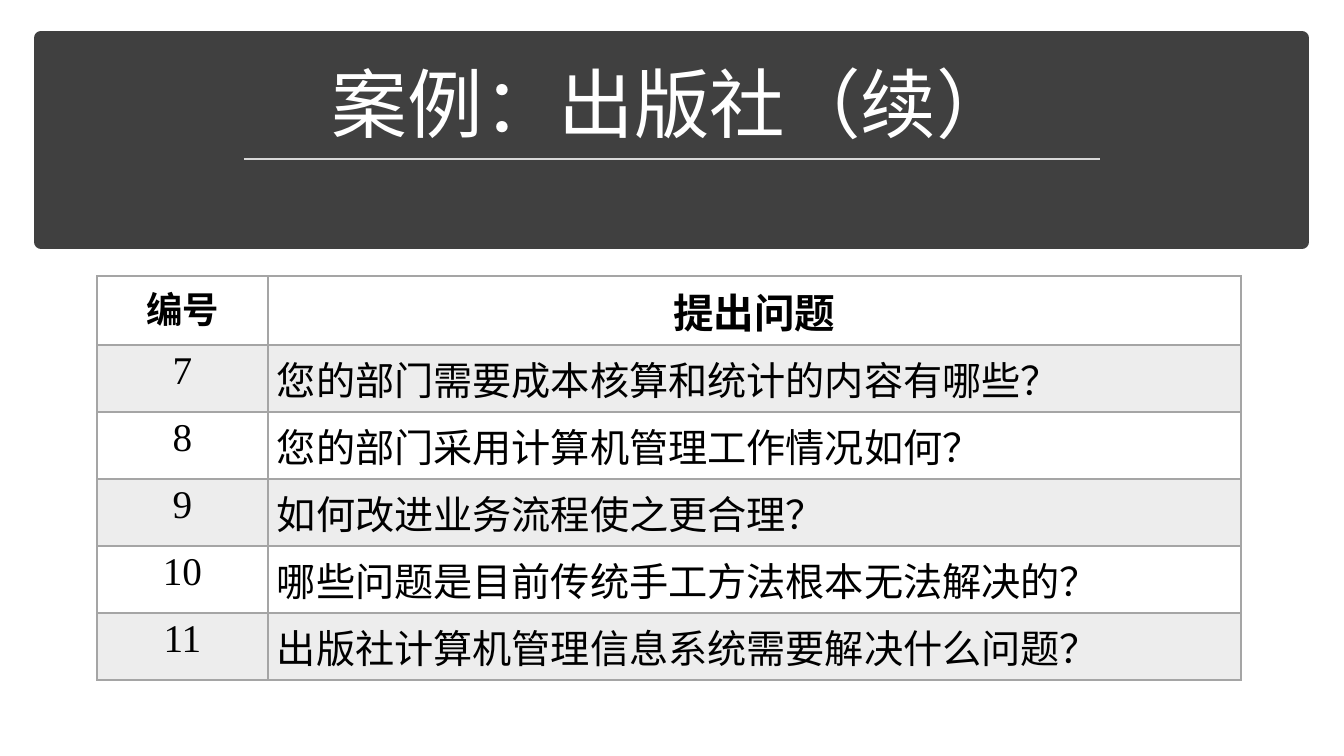
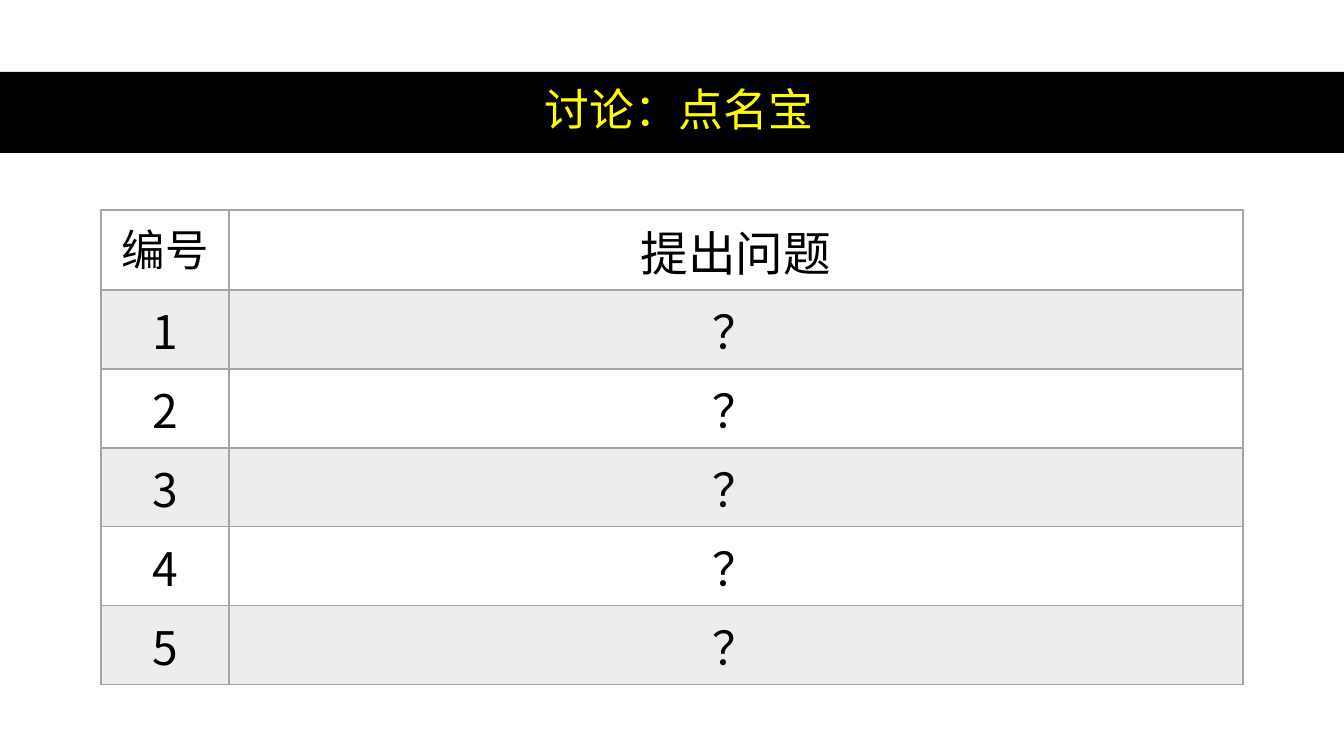
from pptx import Presentation
from pptx.dml.color import RGBColor
from pptx.enum.shapes import MSO_CONNECTOR as LINE, MSO_SHAPE as SHAPE
from pptx.enum.text import MSO_ANCHOR as ANCHOR, PP_ALIGN as ALIGN
from pptx.oxml.ns import qn
from pptx.util import Pt
from lxml.etree import SubElement as sub

# Shared look
PX = 914400 / 100.8
SANS, SERIF = "Noto Sans CJK SC", "Times New Roman"
BLACK, WHITE, GRID, STRIPE = "000000", "FFFFFF", "A5A5A5", "EDEDED"
HEAD = ("编号", "提出问题")


def paint(color, tone):
    color.rgb = RGBColor.from_string(tone)


def write(frame, text, size, face, tone, align=ALIGN.CENTER, bold=False):
    frame.text = text
    par = frame.paragraphs[0]
    par.alignment = align
    font = par.runs[0].font
    font.size, font.name, font.bold = Pt(size), face, bold
    paint(font.color, tone)
    sub(font._element, qn("a:ea"), typeface=SANS)
    return par


# What differs from slide to slide
pages = [
    dict(
        band=(41, 38, 1261, 204), tone="404040", edge=10,
        title="案例：出版社（续）", box=(58, 51, 1228, 103), size=54,
        ink=WHITE, anchor=ANCHOR.BOTTOM, rule=(244, 159, 1100),
        spot=(97, 276), cols=(171, 973), rows=(69, 67), pad=(9, 5),
        face=SERIF, heads=(26, 29), body=28, bold=True, align=ALIGN.LEFT,
        items=[
            (7, "您的部门需要成本核算和统计的内容有哪些？"),
            (8, "您的部门采用计算机管理工作情况如何？"),
            (9, "如何改进业务流程使之更合理？"),
            (10, "哪些问题是目前传统手工方法根本无法解决的？"),
            (11, "出版社计算机管理信息系统需要解决什么问题？"),
        ],
    ),
    dict(
        band=(0, 72, 1344, 81), tone=BLACK, edge=0,
        title="讨论：点名宝", box=(61, 71, 1236, 81), size=32,
        ink="FFFF00", anchor=ANCHOR.MIDDLE, rule=None,
        spot=(101, 210), cols=(128, 1014), rows=(80, 79), pad=(12, 6),
        face=SANS, heads=(31, 34), body=33, bold=False, align=ALIGN.CENTER,
        items=[(n, "？") for n in range(1, 6)],
    ),
]

deck = Presentation()
deck.slide_width, deck.slide_height = round(1344 * PX), round(756 * PX)

for page in pages:
    shapes = deck.slides.add_slide(deck.slide_layouts[6]).shapes

    # Title band
    band = shapes.add_shape(SHAPE.RECTANGLE, *[round(v * PX) for v in page["band"]])
    band.shadow.inherit = False
    band.fill.solid()
    paint(band.fill.fore_color, page["tone"])
    if page["edge"]:
        paint(band.line.color, page["tone"])
        band.line.width = Pt(page["edge"])
    else:
        band.line.fill.background()

    # Title
    frame = shapes.add_textbox(*[round(v * PX) for v in page["box"]]).text_frame
    frame.word_wrap = True
    frame.vertical_anchor = page["anchor"]
    par = write(frame, page["title"], page["size"], SANS, page["ink"])
    par.line_spacing = 0.9

    # Rule under the title
    if page["rule"]:
        left, top, right = [round(v * PX) for v in page["rule"]]
        rule = shapes.add_connector(LINE.STRAIGHT, left, top, right, top)
        paint(rule.line.color, "D9D9D9")
        rule.line.width = Pt(1.75)
        sub(rule._element.spPr, qn("a:effectLst"))

    # Table of questions
    first, rest = page["rows"]
    highs = [first] + [rest] * len(page["items"])
    wides = page["cols"]
    size = [round(v * PX) for v in (*page["spot"], sum(wides), sum(highs))]
    table = shapes.add_table(len(highs), len(wides), *size).table
    table.first_row = table.horz_banding = False
    for col, wide in zip(table.columns, wides):
        col.width = round(wide * PX)
    for row, high in zip(table.rows, highs):
        row.height = round(high * PX)

    for r, texts in enumerate([HEAD] + page["items"]):
        for c, text in enumerate(texts):
            cell = table.cell(r, c)
            side, end = [round(v * PX) for v in page["pad"]]
            cell.margin_left = cell.margin_right = side
            cell.margin_top = cell.margin_bottom = end
            top = r == 0
            write(
                cell.text_frame, str(text),
                page["heads"][c] if top else page["body"],
                page["face"], BLACK,
                page["align"] if c and not top else ALIGN.CENTER,
                page["bold"] and top,
            )
            # Borders come before the fill in the cell properties
            props = cell._tc.get_or_add_tcPr()
            for name in ("lnL", "lnR", "lnT", "lnB"):
                thick = (name == "lnB" and r == 0) or (name == "lnT" and r == 1)
                edge = sub(props, qn("a:" + name), w=str(Pt(2 if thick else 1)))
                fill = sub(edge, qn("a:solidFill"))
                sub(fill, qn("a:srgbClr"), val=GRID)
            cell.fill.solid()
            paint(cell.fill.fore_color, STRIPE if r % 2 else WHITE)

deck.save("out.pptx")
